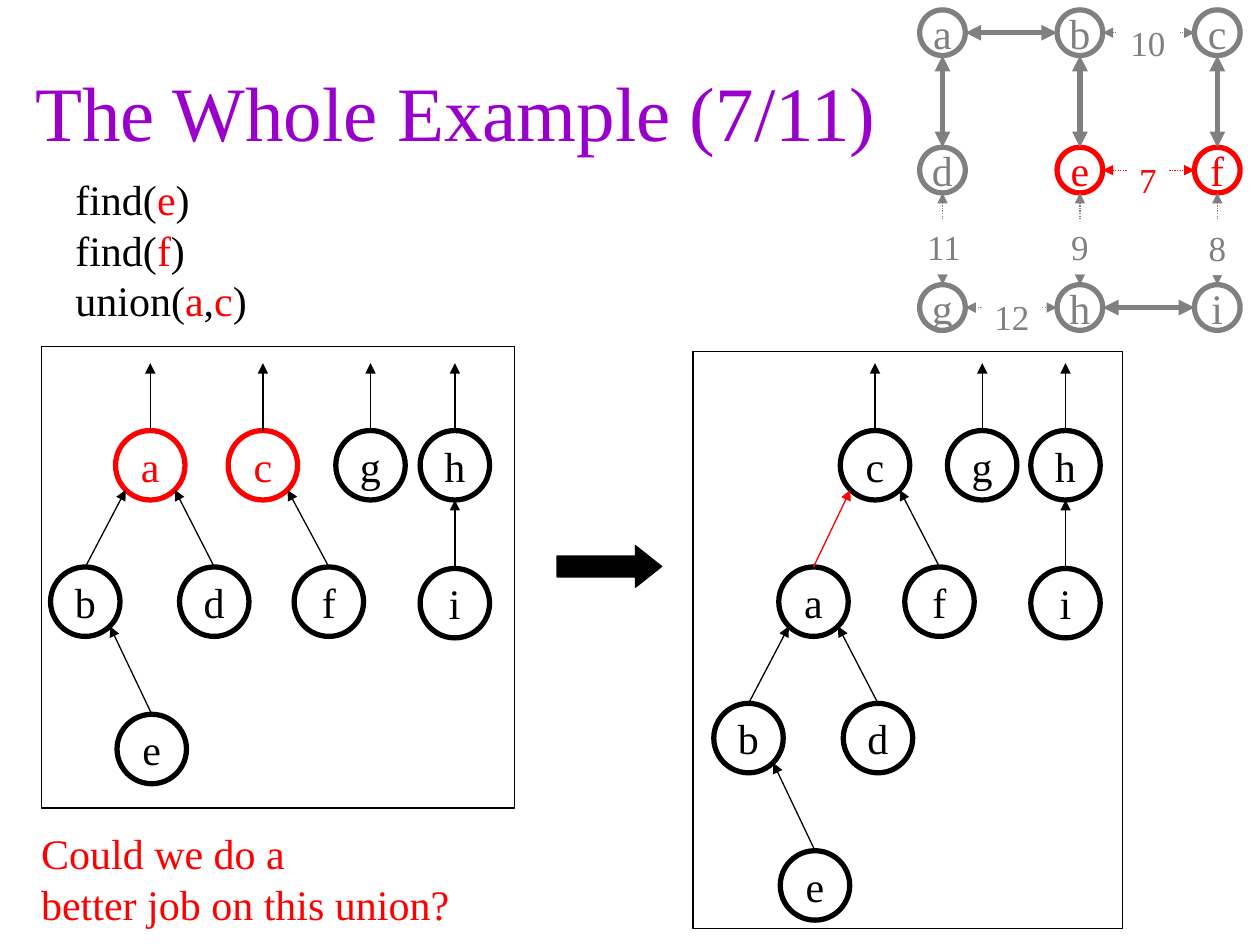
from dataclasses import dataclass
from typing import Optional

from lxml import etree
from pptx import Presentation
from pptx import util as u
from pptx.dml.color import RGBColor
from pptx.enum import dml, shapes, text
from pptx.oxml.ns import qn

COLORS = {
    "title": "9900CC",
    "black": "000000",
    "red": "FF0000",
    "gray": "808080",
    "white": "FFFFFF",
}
FONT = "Times New Roman"
GRAPH_DIAMETER = 0.92
GRAPH_LEFT, GRAPH_TOP, GRAPH_STEP = 19.0, 0.66, 2.77
TREE_DIAMETER = 1.4
ROOT_ARROW_TOP = 7.32


@dataclass
class Node:
    name: str
    x: float
    y: float
    parent: Optional[str] = None
    color: str = "black"
    edge_color: str = "black"


@dataclass
class Edge:
    start: str
    end: str
    dotted: bool = False
    color: str = "gray"


@dataclass
class Label:
    value: str
    x: float
    y: float
    width: float
    color: str = "gray"


@dataclass
class Box:
    left: float
    top: float
    width: float
    height: float

    def lengths(self) -> list:
        return [u.Cm(side) for side in (self.left, self.top, self.width, self.height)]


GRAPH_ROWS = ("abc", "def", "ghi")
GRAPH_EDGES = [
    Edge("a", "b"), Edge("b", "c", True),
    Edge("e", "f", True, "red"),
    Edge("g", "h", True), Edge("h", "i"),
    Edge("a", "d"), Edge("b", "e"), Edge("c", "f"),
    Edge("d", "g", True), Edge("e", "h", True), Edge("f", "i", True),
]
GRAPH_LABELS = [
    Label("11", 19.03, 4.42, 1.24),
    Label("10", 23.14, 0.3, 1.22),
    Label("7", 23.14, 3.07, 0.86, "red"),
    Label("9", 21.77, 4.42, 1.47),
    Label("8", 24.54, 4.44, 0.76),
    Label("12", 20.4, 5.84, 1.22),
]
TREE_BEFORE = [
    Node("a", 3.03, 9.38, color="red"),
    Node("c", 5.3, 9.38, color="red"),
    Node("g", 7.47, 9.38),
    Node("h", 9.17, 9.38),
    Node("b", 1.72, 12.13, "a"),
    Node("d", 4.32, 12.13, "a"),
    Node("f", 6.63, 12.13, "c"),
    Node("i", 9.17, 12.16, "h"),
    Node("e", 3.06, 15.1, "b"),
]
TREE_AFTER = [
    Node("c", 17.64, 9.38),
    Node("g", 19.8, 9.38),
    Node("h", 21.48, 9.38),
    Node("a", 16.4, 12.13, "c", edge_color="red"),
    Node("f", 18.94, 12.13, "c"),
    Node("i", 21.48, 12.16, "h"),
    Node("b", 15.09, 14.88, "a"),
    Node("d", 17.7, 14.88, "a"),
    Node("e", 16.43, 17.85, "b"),
]


def rgb(color: str) -> RGBColor:
    return RGBColor.from_string(COLORS[color])


def write(shape, lines: list, size: int, centered: bool = True, middle: bool = True) -> None:
    frame = shape.text_frame
    frame.word_wrap = False
    frame.vertical_anchor = text.MSO_ANCHOR.MIDDLE if middle else text.MSO_ANCHOR.TOP
    frame.text = "\n".join("" for _ in lines)
    for paragraph, pieces in zip(frame.paragraphs, lines):
        paragraph.alignment = text.PP_ALIGN.CENTER if centered else text.PP_ALIGN.LEFT
        for words, color in pieces:
            run = paragraph.add_run()
            run.text = words
            run.font.name = FONT
            run.font.size = u.Pt(size)
            run.font.color.rgb = rgb(color)


def add_text(slide, box: Box, lines: list, size: int, centered=False, middle=False) -> None:
    write(slide.shapes.add_textbox(*box.lengths()), lines, size, centered, middle)


def add_shape(slide, kind, box: Box, fill: Optional[str], line: Optional[str], weight=0.75):
    shape = slide.shapes.add_shape(kind, *box.lengths())
    shape.shadow.inherit = False
    if fill:
        shape.fill.solid()
        shape.fill.fore_color.rgb = rgb(fill)
    else:
        shape.fill.background()
    if line:
        shape.line.color.rgb = rgb(line)
        shape.line.width = u.Pt(weight)
    else:
        shape.line.fill.background()
    return shape


def add_circle(slide, node: Node, diameter: float) -> None:
    box = Box(node.x - diameter / 2, node.y - diameter / 2, diameter, diameter)
    circle = add_shape(slide, shapes.MSO_SHAPE.OVAL, box, None, node.color, 3)
    write(circle, [[(node.name, node.color)]], 24)


def add_arrow(slide, start: tuple, end: tuple, color: str, weight=0.75,
              dotted=False, both_ends=False) -> None:
    points = [u.Cm(value) for value in (*start, *end)]
    arrow = slide.shapes.add_connector(shapes.MSO_CONNECTOR.STRAIGHT, *points)
    arrow.line.color.rgb = rgb(color)
    arrow.line.width = u.Pt(weight)
    if dotted:
        arrow.line.dash_style = dml.MSO_LINE.ROUND_DOT
    properties = arrow.element.spPr
    for tag in ("a:headEnd", "a:tailEnd") if both_ends else ("a:tailEnd",):
        etree.SubElement(properties.find(qn("a:ln")), qn(tag), type="triangle")
    etree.SubElement(properties, qn("a:effectLst"))


def draw_graph(slide) -> None:
    nodes = {
        name: Node(name, GRAPH_LEFT + column * GRAPH_STEP, GRAPH_TOP + row * GRAPH_STEP,
                   color="red" if name in "ef" else "gray")
        for row, names in enumerate(GRAPH_ROWS)
        for column, name in enumerate(names)
    }
    for node in nodes.values():
        add_circle(slide, node, GRAPH_DIAMETER)
    radius = GRAPH_DIAMETER / 2
    for edge in GRAPH_EDGES:
        start, end = nodes[edge.start], nodes[edge.end]
        dx, dy = (radius, 0) if start.y == end.y else (0, radius)
        add_arrow(slide, (start.x + dx, start.y + dy), (end.x - dx, end.y - dy),
                  edge.color, 0.75 if edge.dotted else 3, edge.dotted, True)
    for label in GRAPH_LABELS:
        box = Box(label.x - label.width / 2, label.y, label.width, 1.11)
        shape = add_shape(slide, shapes.MSO_SHAPE.RECTANGLE, box, "white", None)
        write(shape, [[(label.value, label.color)]], 20, middle=False)


def draw_tree(slide, panel: Box, tree: list) -> None:
    add_shape(slide, shapes.MSO_SHAPE.RECTANGLE, panel, "white", "black")
    nodes = {node.name: node for node in tree}
    radius = TREE_DIAMETER / 2
    diagonal = radius * 0.71
    for node in tree:
        add_circle(slide, node, TREE_DIAMETER)
        if node.parent is None:
            end = (node.x, ROOT_ARROW_TOP)
        else:
            parent = nodes[node.parent]
            if node.x == parent.x:
                end = (parent.x, parent.y + radius)
            else:
                side = diagonal if node.x > parent.x else -diagonal
                end = (parent.x + side, parent.y + diagonal)
        add_arrow(slide, (node.x, node.y - radius), end, node.edge_color)


def main() -> None:
    presentation = Presentation()
    presentation.slide_width, presentation.slide_height = u.Cm(25.4), u.Cm(19.05)
    slide = presentation.slides.add_slide(presentation.slide_layouts[6])
    add_text(slide, Box(0.2, 0.64, 17.98, 3.18),
             [[("The Whole Example (7/11)", "title")]], 44, True, True)
    calls = [
        [("find(", "black"), ("e", "red"), (")", "black")],
        [("find(", "black"), ("f", "red"), (")", "black")],
        [("union(", "black"), ("a", "red"), (",", "black"), ("c", "red"), (")", "black")],
    ]
    add_text(slide, Box(1.27, 3.38, 3.96, 3.3), calls, 24)
    draw_graph(slide)
    draw_tree(slide, Box(0.84, 6.99, 9.53, 9.3), TREE_BEFORE)
    arrow = add_shape(slide, shapes.MSO_SHAPE.RIGHT_ARROW, Box(11.23, 11, 2.11, 0.84),
                      "black", "black")
    arrow.adjustments[1] = 0.63
    draw_tree(slide, Box(13.97, 7.09, 8.66, 11.63), TREE_AFTER)
    question = [[("Could we do a", "red")], [("better job on this union?", "red")]]
    add_text(slide, Box(0.58, 16.56, 8.74, 2.29), question, 24)
    presentation.save("out.pptx")


if __name__ == "__main__":
    main()
